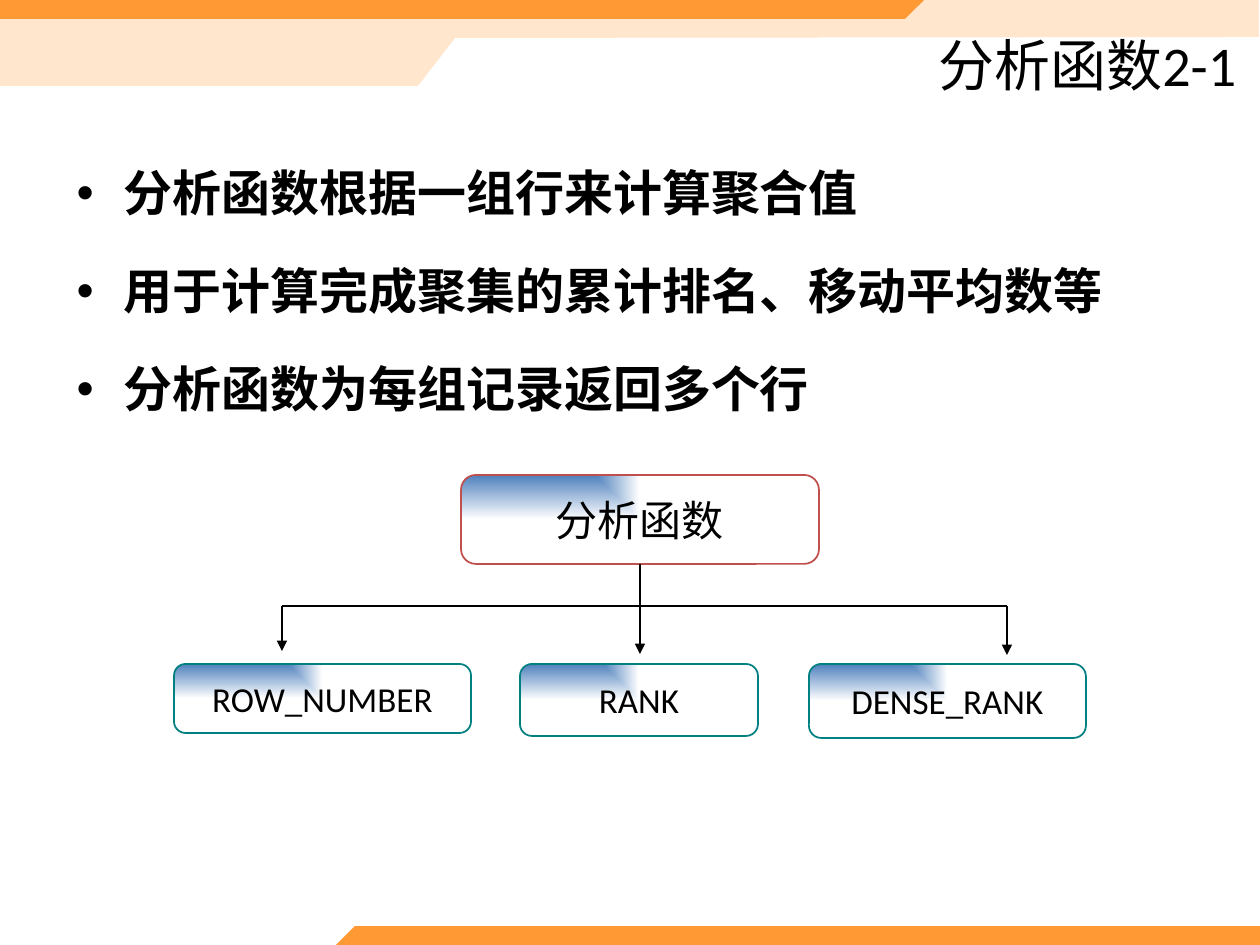
from lxml import etree
from pptx import Presentation
from pptx.dml.color import RGBColor
from pptx.enum.shapes import MSO_CONNECTOR, MSO_SHAPE
from pptx.enum.text import MSO_ANCHOR, MSO_AUTO_SIZE, PP_ALIGN
from pptx.oxml.ns import qn
from pptx.util import Inches, Pt

PX = Inches(1) / 126
STRAIGHT = MSO_CONNECTOR.STRAIGHT
ROUNDED = MSO_SHAPE.ROUNDED_RECTANGLE
MIDDLE = MSO_ANCHOR.MIDDLE
NO_FIT = MSO_AUTO_SIZE.NONE
CENTER, RIGHT = PP_ALIGN.CENTER, PP_ALIGN.RIGHT
FONT = "Calibri"
COLORS = {
    "text": "000000",
    "orange": "FF9933",
    "peach": "FFE6CD",
    "blue": "4F81BD",
    "white": "FFFFFF",
    "red": "C0504D",
    "teal": "008080",
}
BANDS = [
    ("peach", [(1259, 0), (0, 0), (0, 86), (418, 86), (455, 38), (1259, 37)]),
    ("orange", [(924, 0), (905, 19), (0, 19), (0, 0)]),
    ("orange", [(336, 945), (355, 926), (1260, 926), (1260, 945)]),
]
POINTS = [
    "分析函数根据一组行来计算聚合值",
    "用于计算完成聚集的累计排名、移动平均数等",
    "分析函数为每组记录返回多个行",
]
FUNCTIONS = [
    ("ROW_NUMBER", (174, 664, 297, 69), 282, 651),
    ("RANK", (520, 664, 238, 72), 640, 654),
    ("DENSE_RANK", (809, 664, 277, 74), 1007, 655),
]
BUS_Y = 606


def px(length):
    """Turn a length in px into EMU."""
    return round(length * PX)


def color(name):
    """Look up a colour by name."""
    return RGBColor.from_string(COLORS[name])


def format_text(paragraph, size, bold=False, align=None):
    """Format a paragraph and its runs."""
    paragraph.alignment = align
    for run in paragraph.runs:
        run.font.name = FONT
        run.font.size = Pt(size)
        run.font.bold = bold
        run.font.color.rgb = color("text")


def place(shape, box):
    """Move and size a shape to a px box."""
    shape.left, shape.top, shape.width, shape.height = map(px, box)


def add_band(slide, layer, fill, outline):
    """Draw a decorative band behind the text."""
    builder = slide.shapes.build_freeform(*outline[0], scale=PX)
    builder.add_line_segments(outline[1:], close=True)
    band = builder.convert_to_shape()
    band.shadow.inherit = False
    band.fill.solid()
    band.fill.fore_color.rgb = color(fill)
    band.line.fill.background()
    slide.shapes._spTree.insert(2 + layer, band._element)


def set_title(slide, text):
    """Fill the title placeholder."""
    title = slide.shapes.title
    place(title, (512, 35, 737, 59))
    frame = title.text_frame
    frame.text = text
    frame.auto_size = NO_FIT
    frame.vertical_anchor = MIDDLE
    format_text(frame.paragraphs[0], 32, align=RIGHT)


def set_points(slide, points):
    """Fill the body placeholder with the bulleted points."""
    body = slide.placeholders[1]
    place(body, (64, 127, 1134, 355))
    frame = body.text_frame
    frame.text = "\n".join(points)
    frame.auto_size = NO_FIT
    for index, paragraph in enumerate(frame.paragraphs):
        paragraph.line_spacing = 1.5
        paragraph.space_before = Pt(5.6 if index else 0)
        format_text(paragraph, 28, bold=True)


def fill_from_corner(shape):
    """Give a shape a gradient that spreads from its top left corner."""
    shape.fill.gradient()
    for stop, name in zip(shape.fill.gradient_stops, ("blue", "white")):
        stop.color.rgb = color(name)
    gradient = shape._element.spPr.find(qn("a:gradFill"))
    gradient.remove(gradient.find(qn("a:lin")))
    path = etree.SubElement(gradient, qn("a:path"), path="rect")
    etree.SubElement(path, qn("a:fillToRect"), r="100000", b="100000")


def add_node(slide, text, box, outline, size):
    """Add a labelled rounded box of the tree."""
    node = slide.shapes.add_shape(ROUNDED, *map(px, box))
    node.shadow.inherit = False
    fill_from_corner(node)
    node.line.color.rgb = color(outline)
    node.line.width = Pt(1)
    frame = node.text_frame
    frame.text = text
    frame.word_wrap = False
    frame.vertical_anchor = MIDDLE
    format_text(frame.paragraphs[0], size, align=CENTER)
    return node


def add_line(slide, start, end, arrow=False):
    """Add a straight line, with an arrowhead at its end if wanted."""
    line = slide.shapes.add_connector(STRAIGHT, *map(px, start + end))
    line.line.color.rgb = color("text")
    line.line.width = Pt(0.75)
    if arrow:
        etree.SubElement(line.line._get_or_add_ln(), qn("a:tailEnd"), type="triangle")
    etree.SubElement(line._element.spPr, qn("a:effectLst"))
    return line


def add_tree(slide):
    """Draw the root, its branches and the functions below it."""
    root = add_node(slide, "分析函数", (461, 475, 358, 89), "red", 24)
    trunk = add_line(slide, (640, 564), (640, BUS_Y))
    trunk.begin_connect(root, 2)
    add_line(slide, (FUNCTIONS[0][2], BUS_Y), (FUNCTIONS[-1][2], BUS_Y))
    for name, box, branch_x, tip_y in FUNCTIONS:
        add_node(slide, name, box, "teal", 20)
        add_line(slide, (branch_x, BUS_Y), (branch_x, tip_y), arrow=True)


def main():
    """Build and save the slide."""
    deck = Presentation()
    deck.slide_width, deck.slide_height = px(1260), px(945)
    slide = deck.slides.add_slide(deck.slide_layouts[1])
    for layer, (fill, outline) in enumerate(BANDS):
        add_band(slide, layer, fill, outline)
    set_title(slide, "分析函数2-1")
    set_points(slide, POINTS)
    add_tree(slide)
    deck.save("out.pptx")


if __name__ == "__main__":
    main()
